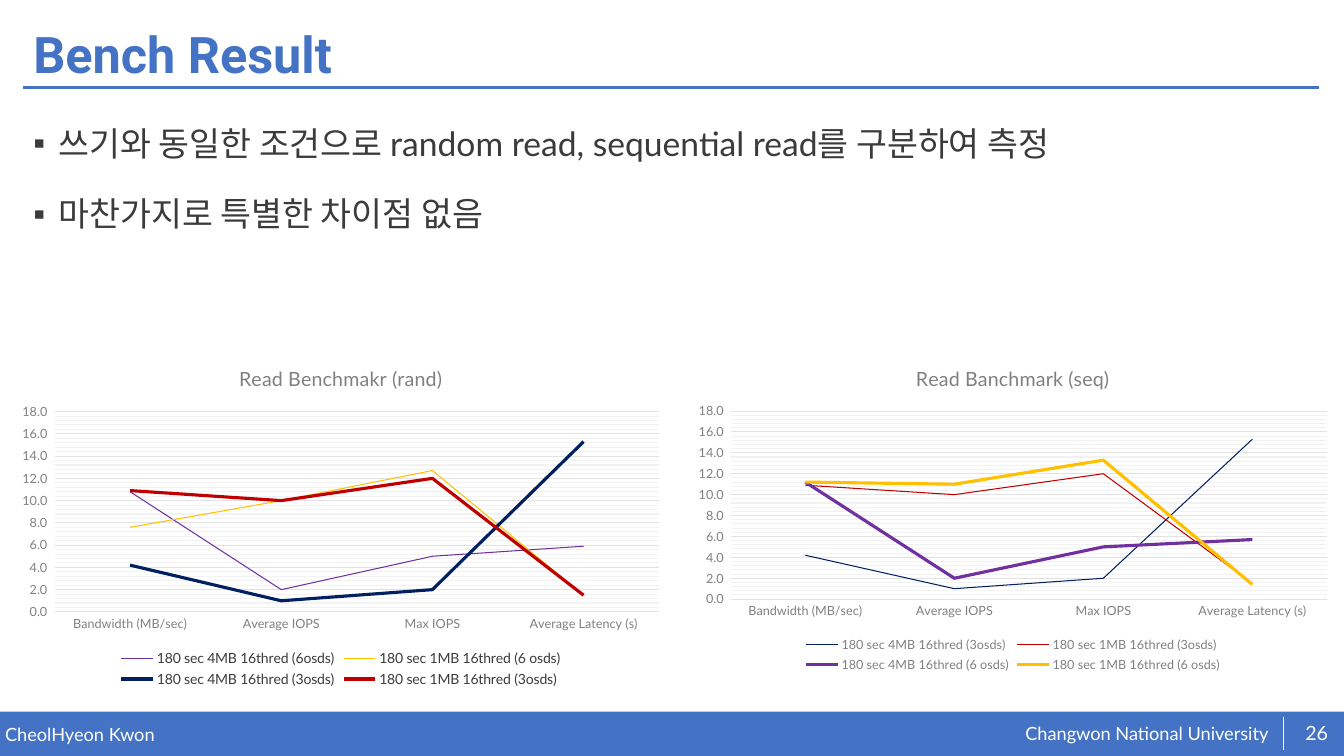
from dataclasses import dataclass

from lxml.etree import SubElement
from pptx import Presentation
from pptx.chart.data import CategoryChartData
from pptx.dml.color import RGBColor
from pptx.enum.chart import XL_CHART_TYPE as ChartType
from pptx.enum.chart import XL_LEGEND_POSITION as LegendPosition
from pptx.enum.chart import XL_TICK_MARK as TickMark
from pptx.enum.shapes import MSO_CONNECTOR as Connector
from pptx.enum.shapes import MSO_SHAPE as Shape
from pptx.enum.text import MSO_ANCHOR as Anchor
from pptx.enum.text import MSO_AUTO_SIZE as AutoSize
from pptx.enum.text import PP_ALIGN as Align
from pptx.oxml.ns import qn
from pptx.util import Inches, Pt


@dataclass(frozen=True)
class Theme:
    blue: str = "4472C4"
    white: str = "FFFFFF"
    ink: str = "3B3B3B"
    gray: str = "808080"
    grid: str = "E2E2E2"
    minor_grid: str = "F2F2F2"
    navy: str = "002060"
    red: str = "C00000"
    purple: str = "7030A0"
    gold: str = "FFC000"
    heading_font: str = "Roboto"
    text_font: str = "Lato"
    title_size: float = 36
    body_size: float = 24
    chart_title_size: float = 14
    number_size: float = 14
    footer_size: float = 13
    legend_size: float = 10
    axis_size: float = 9
    thin: float = 0.75
    thick: float = 2.25


THEME = Theme()
CATEGORIES = ("Bandwidth (MB/sec)", "Average IOPS", "Max IOPS", "Average Latency (s)")


@dataclass(frozen=True)
class Box:
    left: float
    top: float
    width: float
    height: float

    def lengths(self) -> tuple:
        return tuple(Inches(n) for n in (self.left, self.top, self.width, self.height))


@dataclass(frozen=True)
class Series:
    name: str
    values: tuple
    color: str
    width: float


@dataclass(frozen=True)
class Benchmark:
    title: str
    box: Box
    series: tuple
    legend_color: str
    legend_size: float


@dataclass(frozen=True)
class Label:
    text: str
    box: Box
    size: float
    align: Align = Align.LEFT


@dataclass(frozen=True)
class Rule:
    start: tuple
    end: tuple
    color: str
    width: float


BENCHMARKS = (
    Benchmark("Read Benchmakr (rand)", Box(0.09, 3.46, 6.58, 3.4), (
        Series("180 sec 4MB 16thred (6osds)", (10.8, 2, 5, 5.9), THEME.purple, THEME.thin),
        Series("180 sec 1MB 16thred (6 osds)", (7.6, 10, 12.7, 1.5), THEME.gold, THEME.thin),
        Series("180 sec 4MB 16thred (3osds)", (4.2, 1, 2, 15.3), THEME.navy, THEME.thick),
        Series("180 sec 1MB 16thred (3osds)", (10.9, 10, 12, 1.5), THEME.red, THEME.thick),
    ), THEME.ink, THEME.legend_size),
    Benchmark("Read Banchmark (seq)", Box(6.8, 3.46, 6.49, 3.25), (
        Series("180 sec 4MB 16thred (3osds)", (4.2, 1, 2, 15.3), THEME.navy, THEME.thin),
        Series("180 sec 1MB 16thred (3osds)", (10.9, 10, 12, 1.5), THEME.red, THEME.thin),
        Series("180 sec 4MB 16thred (6 osds)", (11.2, 2, 5, 5.7), THEME.purple, THEME.thick),
        Series("180 sec 1MB 16thred (6 osds)", (11.2, 11, 13.3, 1.4), THEME.gold, THEME.thick),
    ), THEME.gray, THEME.axis_size),
)
LABELS = (
    Label("Changwon National University", Box(10.17, 7.16, 2.5, 0.23), THEME.footer_size),
    Label("CheolHyeon Kwon", Box(0.05, 7.17, 6.55, 0.22), THEME.footer_size),
    Label("26", Box(12.82, 7.07, 0.48, 0.4), THEME.number_size, Align.CENTER),
)
RULES = (
    Rule((0.23, 0.87), (13.08, 0.87), THEME.blue, 2),
    Rule((12.73, 7.11), (12.73, 7.44), THEME.white, 0.5),
)
BULLETS = (
    "쓰기와 동일한 조건으로 random read, sequential read를 구분하여 측정",
    "마찬가지로 특별한 차이점 없음",
)


def format_font(font, size: float, color: str, name: str = THEME.text_font, bold: bool = False) -> None:
    font.size = Pt(size)
    font.name = name
    font.bold = bold
    font.color.rgb = RGBColor.from_string(color)


def format_line(line, color: str, width: float) -> None:
    line.color.rgb = RGBColor.from_string(color)
    line.width = Pt(width)


def write(para, text: str, *, size: float, color: str, font: str = THEME.text_font,
          bold: bool = False, align: Align = Align.LEFT, spacing: float = 1, before: float = 0) -> None:
    para.alignment = align
    para.line_spacing = spacing
    para.space_before = Pt(before)
    span = para.add_run()
    span.text = text
    format_font(span.font, size, color, font, bold)


def place(shape, box: Box) -> None:
    shape.left, shape.top, shape.width, shape.height = box.lengths()
    shape.text_frame.auto_size = AutoSize.NONE


def add_bullet(para) -> None:
    properties = para._p.get_or_add_pPr()
    properties.set("marL", str(Inches(0.25)))
    properties.set("indent", str(-Inches(0.25)))
    SubElement(properties, qn("a:buFont"), typeface="Arial")
    SubElement(properties, qn("a:buChar"), char="▪")


def add_rule(page, rule: Rule) -> None:
    ends = [Inches(n) for n in rule.start + rule.end]
    connector = page.shapes.add_connector(Connector.STRAIGHT, *ends)
    format_line(connector.line, rule.color, rule.width)
    SubElement(connector._element.spPr, qn("a:effectLst"))


def add_label(page, label: Label) -> None:
    frame = page.shapes.add_textbox(*label.box.lengths()).text_frame
    frame.word_wrap = True
    frame.vertical_anchor = Anchor.MIDDLE
    frame.margin_left = frame.margin_right = frame.margin_top = frame.margin_bottom = 0
    write(frame.paragraphs[0], label.text, size=label.size, color=THEME.white, align=label.align)


def add_minor_grid(axis) -> None:
    axis.has_minor_gridlines = True
    properties = SubElement(axis._element.find(qn("c:minorGridlines")), qn("c:spPr"))
    line = SubElement(properties, qn("a:ln"), w=str(Pt(THEME.thin)))
    SubElement(SubElement(line, qn("a:solidFill")), qn("a:srgbClr"), val=THEME.minor_grid)


def add_benchmark(page, benchmark: Benchmark) -> None:
    data = CategoryChartData(number_format="0.0_);[Red]\\(0.0\\)")
    data.categories = CATEGORIES
    for series in benchmark.series:
        data.add_series(series.name, series.values)
    chart = page.shapes.add_chart(ChartType.LINE, *benchmark.box.lengths(), data).chart
    format_font(chart.font, THEME.legend_size, THEME.ink)
    write(chart.chart_title.text_frame.paragraphs[0], benchmark.title,
          size=THEME.chart_title_size, color=THEME.gray, align=Align.CENTER)
    chart.has_legend = True
    chart.legend.position = LegendPosition.BOTTOM
    chart.legend.include_in_layout = False
    format_font(chart.legend.font, benchmark.legend_size, benchmark.legend_color)
    for axis in (chart.category_axis, chart.value_axis):
        axis.major_tick_mark = axis.minor_tick_mark = TickMark.NONE
        format_font(axis.tick_labels.font, THEME.axis_size, THEME.gray)
    format_line(chart.category_axis.format.line, THEME.grid, THEME.thin)
    scale = chart.value_axis
    scale.minimum_scale, scale.maximum_scale = 0, 18
    scale.major_unit, scale.minor_unit = 2, 0.4
    scale.format.line.fill.background()
    format_line(scale.major_gridlines.format.line, THEME.grid, THEME.thin)
    add_minor_grid(scale)
    for plotted, series in zip(chart.plots[0].series, benchmark.series):
        plotted.smooth = False
        format_line(plotted.format.line, series.color, series.width)


def main() -> None:
    deck = Presentation()
    deck.slide_width, deck.slide_height = Inches(13.33), Inches(7.5)
    page = deck.slides.add_slide(deck.slide_layouts[1])
    title, body = page.placeholders
    place(title, Box(0.23, 0.18, 12.86, 0.77))
    title.text_frame.vertical_anchor = Anchor.MIDDLE
    write(title.text_frame.paragraphs[0], "Bench Result", size=THEME.title_size,
          color=THEME.blue, font=THEME.heading_font, bold=True, spacing=0.9)
    place(body, Box(0.23, 1.01, 12.86, 5.63))
    for index, text in enumerate(BULLETS):
        para = body.text_frame.add_paragraph() if index else body.text_frame.paragraphs[0]
        write(para, text, size=THEME.body_size, color=THEME.ink, spacing=1.4, before=10)
        add_bullet(para)
    footer = page.shapes.add_shape(Shape.RECTANGLE, *Box(0, 7.06, 13.33, 0.44).lengths())
    footer.shadow.inherit = False
    footer.fill.solid()
    footer.fill.fore_color.rgb = RGBColor.from_string(THEME.blue)
    footer.line.fill.background()
    for rule in RULES:
        add_rule(page, rule)
    for label in LABELS:
        add_label(page, label)
    for benchmark in BENCHMARKS:
        add_benchmark(page, benchmark)
    deck.save("out.pptx")


if __name__ == "__main__":
    main()
